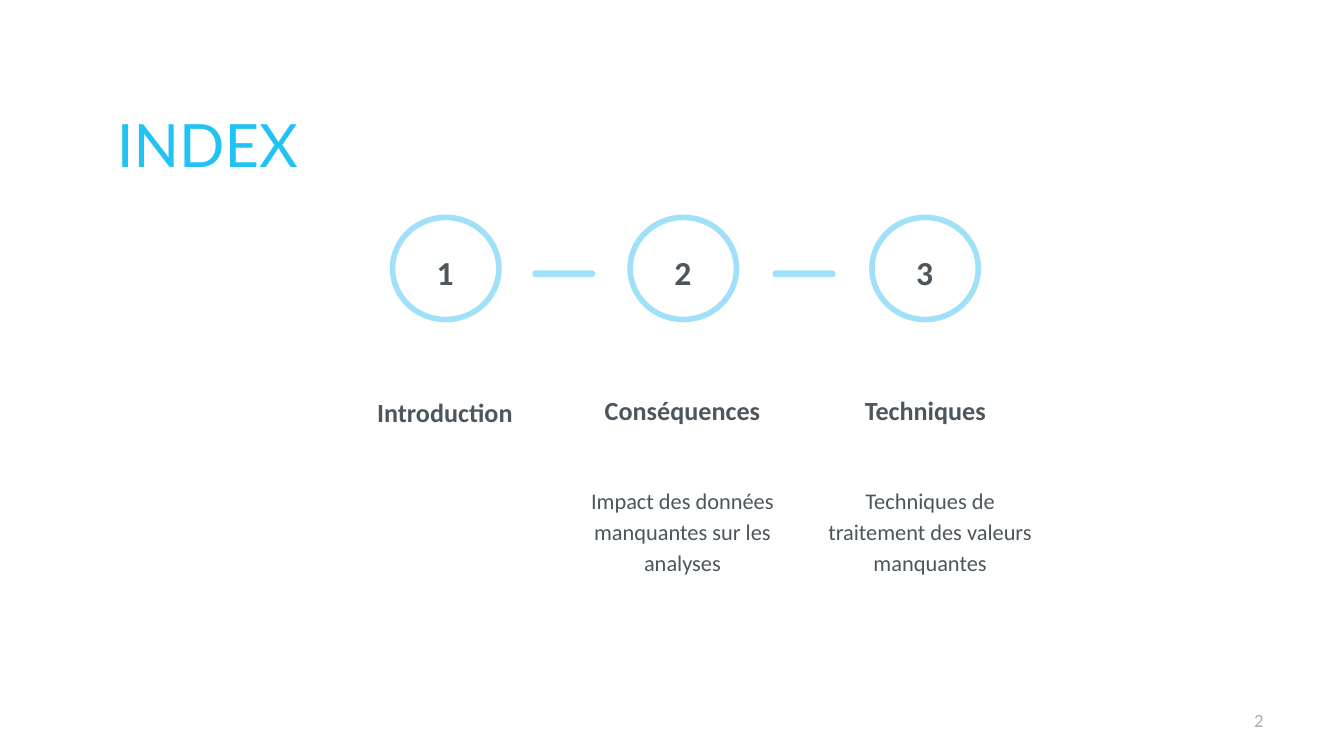
import pptx
import pptx.util
import pptx.dml.color
import pptx.enum.shapes
import pptx.enum.text

Cm = pptx.util.Cm
Pt = pptx.util.Pt
Shape = pptx.enum.shapes.MSO_SHAPE
Align = pptx.enum.text.PP_ALIGN
Anchor = pptx.enum.text.MSO_ANCHOR

HUES = {"title": "20C3F3", "ring": "A0E0F9", "text": "4C565C", "page": "A4ADB0"}


def tint(name):
    return pptx.dml.color.RGBColor.from_string(HUES[name])


def apply(item, form):
    for key, value in form.items():
        setattr(item, key, value)


class Deck:
    face = "Calibri"

    def __init__(self, wide, high):
        self.show = pptx.Presentation()
        apply(self.show, {"slide_width": Cm(wide), "slide_height": Cm(high)})
        self.slide = self.show.slides.add_slide(self.show.slide_layouts[5])

    def label(self, shape, text, size, hue, bold=False, face=None,
              align=Align.CENTER, anchor=Anchor.TOP, space=None, after=0,
              pad=(0.25, 0.25)):
        frame = shape.text_frame
        side, edge = Cm(pad[0]), Cm(pad[1])
        apply(frame, {"word_wrap": True, "vertical_anchor": anchor,
                      "auto_size": pptx.enum.text.MSO_AUTO_SIZE.NONE,
                      "margin_left": side, "margin_right": side,
                      "margin_top": edge, "margin_bottom": edge})
        para = frame.paragraphs[0]
        apply(para, {"alignment": align, "line_spacing": space,
                     "space_before": Pt(0), "space_after": Pt(after)})
        run = para.add_run()
        run.text = text
        apply(run.font, {"size": Pt(size), "bold": bold,
                         "name": face or self.face})
        run.font.color.rgb = tint(hue)

    def title(self, box, text):
        shape = self.slide.shapes.title
        apply(shape, dict(zip(("left", "top", "width", "height"), map(Cm, box))))
        self.label(shape, text, 32, "title", face="Lato", align=Align.LEFT,
                   anchor=Anchor.MIDDLE, pad=(0.18, 0.1))

    def text(self, box, text, size, hue="text", **form):
        shape = self.slide.shapes.add_textbox(*map(Cm, box))
        self.label(shape, text, size, hue, **form)

    def ring(self, box):
        shape = self.slide.shapes.add_shape(Shape.OVAL, *map(Cm, box))
        shape.shadow.inherit = False
        shape.fill.background()
        shape.line.color.rgb = tint("ring")
        shape.line.width = Pt(3)

    def dash(self, box):
        shape = self.slide.shapes.add_shape(Shape.ROUNDED_RECTANGLE, *map(Cm, box))
        shape.shadow.inherit = False
        shape.adjustments[0] = 0.5
        shape.fill.solid()
        shape.fill.fore_color.rgb = tint("ring")
        shape.line.fill.background()

    def step(self, mark, ring, left, top, wide, head, span, body):
        self.ring((ring, 4.11, 2.01, 1.93))
        self.text((ring + 0.26, 4.39, 1.47, 1.04), mark, 18, bold=True,
                  space=1.15, after=16)
        self.text((left, top, wide, 1.3), head, 14, bold=True,
                  anchor=Anchor.MIDDLE, space=1.15)
        if body:
            self.text((left, 8.89, span, 2.39), body, 12, space=1.15, after=16)


STEPS = [
    (7.42, 6.2, 7.09, 4.42, "Introduction", 4.42, ""),
    (11.91, 10.69, 7.06, 4.42, "Conséquences", 4.42,
     "Impact des données manquantes sur les analyses"),
    (16.48, 15.19, 7.06, 4.6, "Techniques", 4.78,
     "Techniques de traitement des valeurs manquantes"),
]


def main():
    deck = Deck(25.4, 14.29)
    deck.title((2.03, 1.52, 10.06, 2.39), "INDEX")
    for mark, step in enumerate(STEPS, 1):
        deck.step(str(mark), *step)
    for left in (10.06, 14.6):
        deck.dash((left, 5.11, 1.19, 0.13))
    deck.text((18.21, 13.23, 5.92, 0.76), "2", 10, "page",
              align=Align.RIGHT, anchor=Anchor.MIDDLE)
    deck.show.save("out.pptx")


if __name__ == "__main__":
    main()
